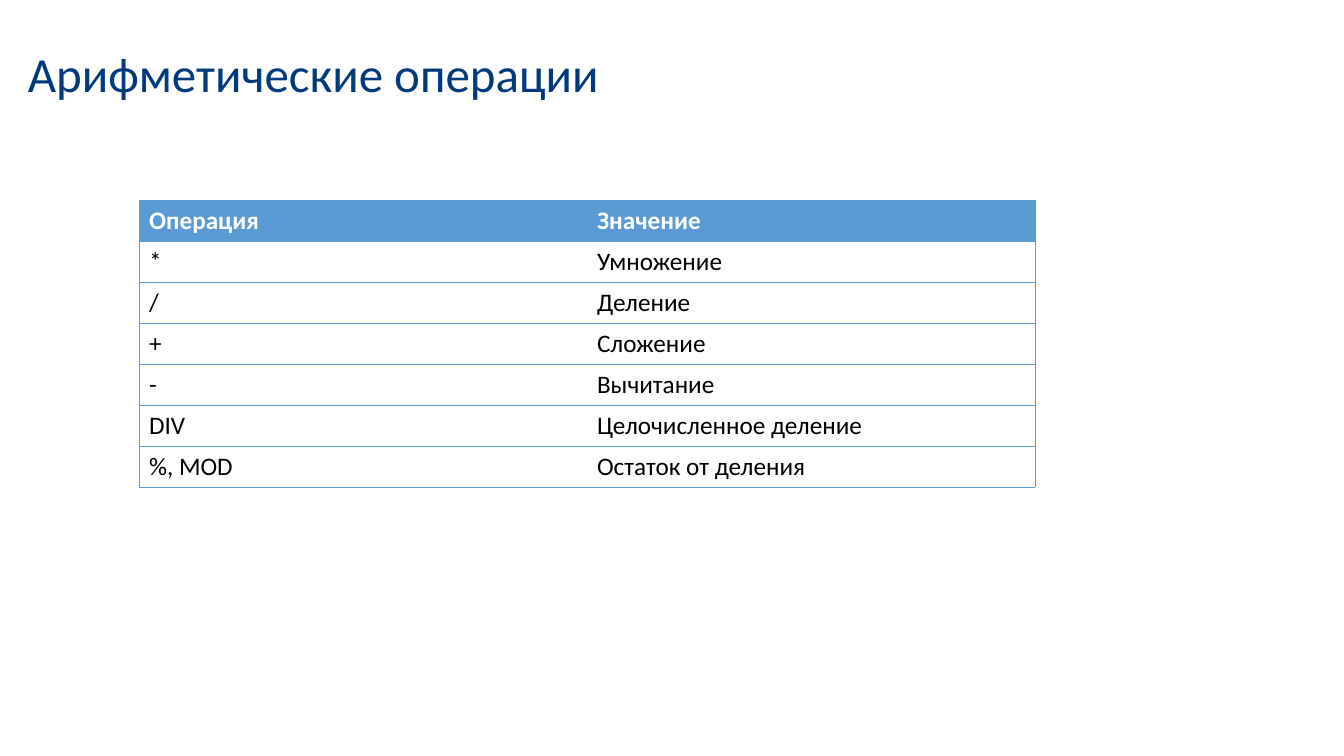
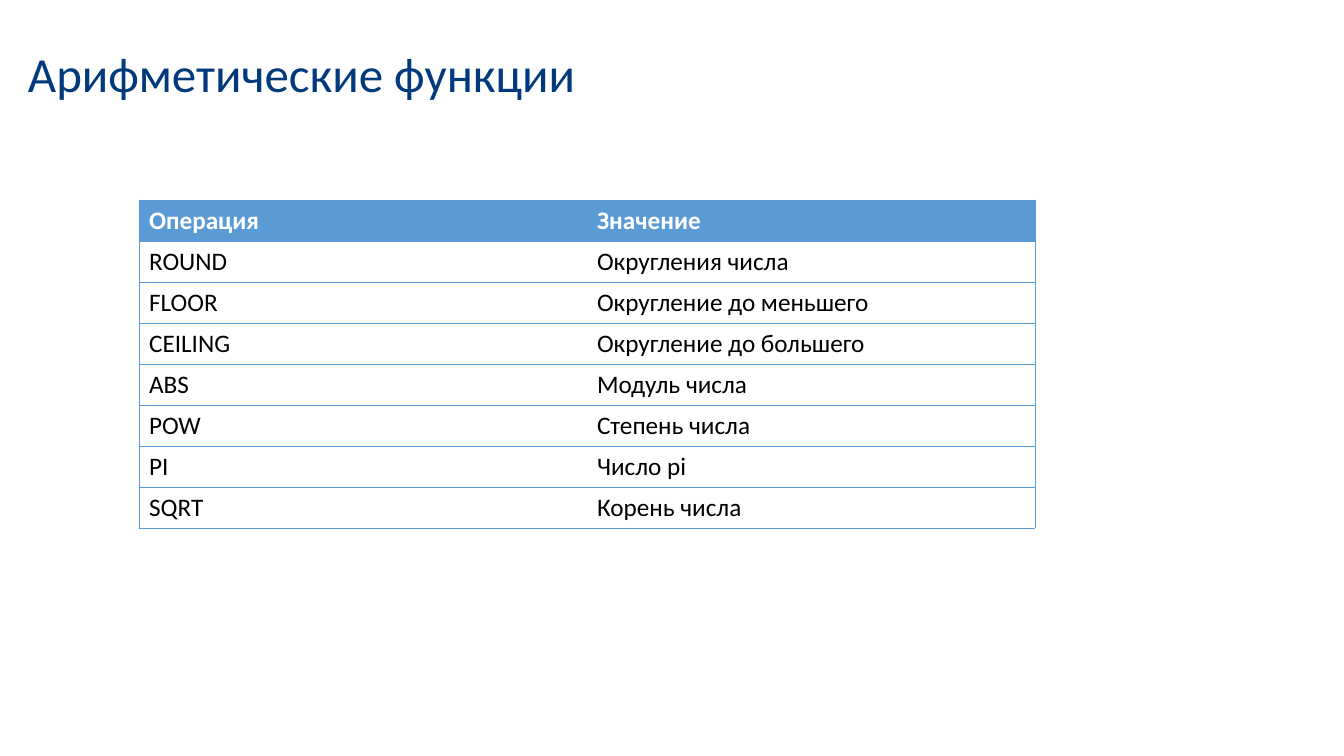
from dataclasses import dataclass

from lxml import etree
from pptx import Presentation
from pptx.dml.color import RGBColor
from pptx.enum.text import MSO_ANCHOR, MSO_AUTO_SIZE
from pptx.oxml.ns import qn
from pptx.slide import Slide
from pptx.table import _Cell
from pptx.text.text import TextFrame
from pptx.util import Emu, Pt

ANCHOR_TOP = MSO_ANCHOR.TOP
FIT_SHAPE = MSO_AUTO_SIZE.SHAPE_TO_FIT_TEXT
BLANK_LAYOUT = 6
EMU_PER_PIXEL = 914400 / 100.8


@dataclass(frozen=True)
class Theme:
    """Colours, font and type sizes shared by all slides."""
    font: str = "Calibri"
    title_color: str = "003A7D"
    accent: str = "5B9BD5"
    header_text: str = "FFFFFF"
    body_text: str = "000000"
    title_size: int = 35
    cell_size: int = 18
    border_width: float = 0.5


@dataclass(frozen=True)
class TextStyle:
    """Look of one run of text."""
    size: int
    color: str
    bold: bool = False


@dataclass(frozen=True)
class Box:
    """A rectangle in pixels."""
    left: int
    top: int
    width: int
    height: int

    def emu(self) -> tuple[Emu, Emu, Emu, Emu]:
        """Return the rectangle in EMU."""
        return (pixels(self.left), pixels(self.top),
                pixels(self.width), pixels(self.height))


@dataclass(frozen=True)
class ReferencePage:
    """A title above a table of names and meanings."""
    title: str
    title_width: int
    entries: tuple[tuple[str, str], ...]


THEME = Theme()
TITLE_STYLE = TextStyle(THEME.title_size, THEME.title_color)
HEADER_STYLE = TextStyle(THEME.cell_size, THEME.header_text, bold=True)
BODY_STYLE = TextStyle(THEME.cell_size, THEME.body_text)

PAGE_WIDTH, PAGE_HEIGHT = 1344, 756
TITLE_LEFT, TITLE_TOP, TITLE_HEIGHT = 18, 39, 69
TABLE_LEFT, TABLE_TOP = 139, 200
COLUMN_WIDTH, ROW_HEIGHT = 448, 41
HEADER = ("Операция", "Значение")

PAGES = (
    ReferencePage("Арифметические операции", 599, (
        ("*", "Умножение"),
        ("/", "Деление"),
        ("+", "Сложение"),
        ("-", "Вычитание"),
        ("DIV", "Целочисленное деление"),
        ("%, MOD", "Остаток от деления"),
    )),
    ReferencePage("Арифметические функции", 573, (
        ("ROUND", "Округления числа"),
        ("FLOOR", "Округление до меньшего"),
        ("CEILING", "Округление до большего"),
        ("ABS", "Модуль числа"),
        ("POW", "Степень числа"),
        ("PI", "Число pi"),
        ("SQRT", "Корень числа"),
    )),
)


def pixels(count: int) -> Emu:
    """Turn pixels into EMU."""
    return Emu(round(count * EMU_PER_PIXEL))


def add_span(frame: TextFrame, text: str, style: TextStyle) -> None:
    """Add one styled run to the first paragraph of a frame."""
    span = frame.paragraphs[0].add_run()
    span.text = text
    span.font.name = THEME.font
    span.font.size = Pt(style.size)
    span.font.bold = style.bold
    span.font.color.rgb = RGBColor.from_string(style.color)


def set_borders(cell: _Cell, visible: dict[str, bool]) -> None:
    """Draw or blank each named side of a cell."""
    properties = cell._tc.get_or_add_tcPr()
    for side, shown in visible.items():
        line = etree.SubElement(properties, qn(f"a:ln{side}"),
                                w=str(int(Pt(THEME.border_width))))
        if shown:
            fill = etree.SubElement(line, qn("a:solidFill"))
            etree.SubElement(fill, qn("a:srgbClr"), val=THEME.accent)
        else:
            etree.SubElement(line, qn("a:noFill"))


def add_title(slide: Slide, page: ReferencePage) -> None:
    """Add the page title."""
    box = Box(TITLE_LEFT, TITLE_TOP, page.title_width, TITLE_HEIGHT)
    frame = slide.shapes.add_textbox(*box.emu()).text_frame
    frame.word_wrap = False
    frame.auto_size = FIT_SHAPE
    add_span(frame, page.title, TITLE_STYLE)


def fill_cell(cell: _Cell, text: str, is_header: bool) -> None:
    """Set the text and background of a cell."""
    cell.vertical_anchor = ANCHOR_TOP
    if is_header:
        cell.fill.solid()
        cell.fill.fore_color.rgb = RGBColor.from_string(THEME.accent)
    else:
        cell.fill.background()
    add_span(cell.text_frame, text, HEADER_STYLE if is_header else BODY_STYLE)


def add_reference_table(slide: Slide, page: ReferencePage) -> None:
    """Add the table with its header row and ruled lines."""
    rows = (HEADER, *page.entries)
    last_column = len(HEADER) - 1
    box = Box(TABLE_LEFT, TABLE_TOP,
              COLUMN_WIDTH * len(HEADER), ROW_HEIGHT * len(rows))
    table = slide.shapes.add_table(len(rows), len(HEADER), *box.emu()).table
    table.horz_banding = False
    for column in table.columns:
        column.width = pixels(COLUMN_WIDTH)
    for row_index, texts in enumerate(rows):
        table.rows[row_index].height = pixels(ROW_HEIGHT)
        for column_index, text in enumerate(texts):
            cell = table.cell(row_index, column_index)
            set_borders(cell, {"L": column_index == 0,
                               "R": column_index == last_column,
                               "T": True, "B": True})
            fill_cell(cell, text, is_header=row_index == 0)


def build_deck() -> None:
    """Build and save the whole deck."""
    deck = Presentation()
    deck.slide_width = pixels(PAGE_WIDTH)
    deck.slide_height = pixels(PAGE_HEIGHT)
    for page in PAGES:
        slide = deck.slides.add_slide(deck.slide_layouts[BLANK_LAYOUT])
        add_title(slide, page)
        add_reference_table(slide, page)
    deck.save("out.pptx")


build_deck()
